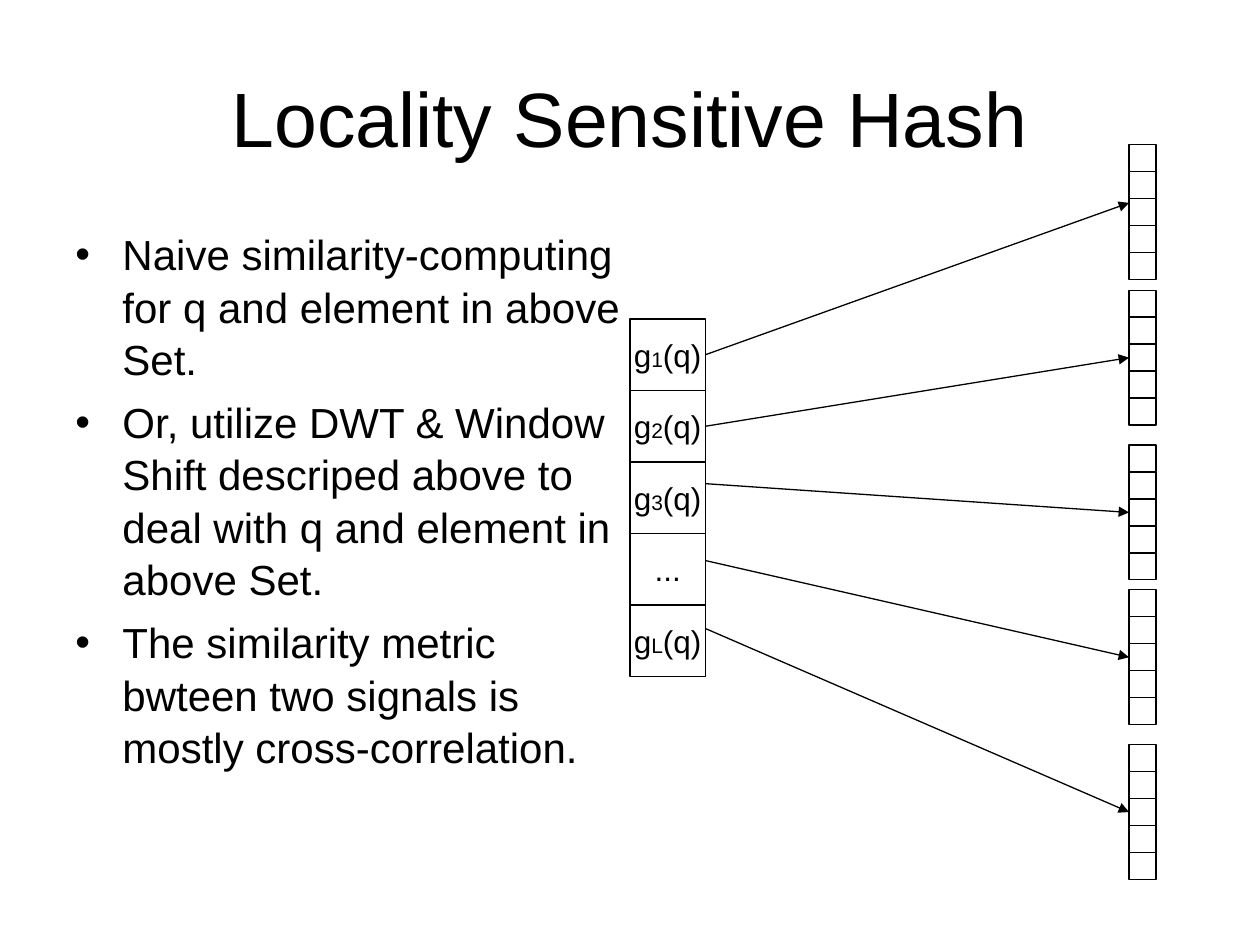
"""Build the Locality Sensitive Hash slide."""
from lxml import etree
from pptx import Presentation
from pptx import util as u
from pptx.dml import color
from pptx.enum import shapes, text
from pptx.oxml import ns

TITLE = "Locality Sensitive Hash"
POINTS = [
    "Naive similarity-computing for q and element in above Set.",
    "Or, utilize DWT & Window Shift descriped above to deal with q and element in above Set.",
    "The similarity metric bwteen two signals is mostly cross-correlation.",
]
HASHES = [("g", "1", "(q)"), ("g", "2", "(q)"), ("g", "3", "(q)"), ("...",), ("g", "L", "(q)")]
BUCKET_TOPS = [2.92, 5.85, 8.97, 11.89, 15.01]
ARROW_STARTS = [None, None, 9.75, 11.3, 12.67]
ARROW_ENDS = [4.09, None, None, None, None]
HASH_LEFT, HASH_TOP, HASH_WIDTH, HASH_HEIGHT = 12.7, 6.43, 1.52, 7.21 / 5
BUCKET_LEFT, BUCKET_CELLS, BUCKET_SIDE = 22.76, 5, 2.72 / 5
INK, PAPER = "000000", "FFFFFF"


def rgb(value):
    return color.RGBColor.from_string(value)


def add_element(parent, tag, **attributes):
    return etree.SubElement(parent, ns.qn(tag), attributes)


def write(frame, paragraphs, sizes=(18,), align="CENTER", anchor="MIDDLE",
          wrap=True, bullet=None, before=0, spacing=None):
    frame.word_wrap = wrap
    frame.vertical_anchor = text.MSO_ANCHOR[anchor]
    for i, parts in enumerate(paragraphs):
        paragraph = frame.add_paragraph() if i else frame.paragraphs[0]
        paragraph.alignment = text.PP_ALIGN[align]
        paragraph.line_spacing = spacing
        paragraph.space_before = u.Pt(before if i else 0)
        if bullet:
            props = paragraph._p.get_or_add_pPr()
            props.set("marL", str(u.Cm(0.95)))
            props.set("indent", str(-u.Cm(0.95)))
            add_element(props, "a:buFont", typeface="Arial")
            add_element(props, "a:buChar", char=bullet)
        for j, part in enumerate(parts):
            run = paragraph.add_run()
            run.text = part
            run.font.name = "Arial"
            run.font.size = u.Pt(sizes[j % len(sizes)])
            run.font.color.rgb = rgb(INK)


def add_cell(slide, left, top, width, height):
    cell = slide.shapes.add_shape(
        shapes.MSO_SHAPE.RECTANGLE, u.Cm(left), u.Cm(top), u.Cm(width), u.Cm(height))
    cell.shadow.inherit = False
    cell.fill.solid()
    cell.fill.fore_color.rgb = rgb(PAPER)
    cell.line.color.rgb = rgb(INK)
    cell.line.width = u.Pt(0.75)
    return cell


def add_arrow(slide, source, target, start, end):
    arrow = slide.shapes.add_connector(
        shapes.MSO_CONNECTOR.STRAIGHT, u.Cm(HASH_LEFT + HASH_WIDTH), u.Cm(start or 0),
        u.Cm(BUCKET_LEFT), u.Cm(end or 0))
    if start is None:
        arrow.begin_connect(source, 3)
    if end is None:
        arrow.end_connect(target, 1)
    arrow.line.color.rgb = rgb(INK)
    arrow.line.width = u.Pt(0.75)
    add_element(arrow.line._get_or_add_ln(), "a:tailEnd", type="triangle")
    add_element(arrow._element.spPr, "a:effectLst")


def main():
    deck = Presentation()
    deck.slide_width, deck.slide_height = u.Cm(25.4), u.Cm(19.05)
    slide = deck.slides.add_slide(deck.slide_layouts[6])

    title = slide.shapes.add_textbox(u.Cm(1.27), u.Cm(0.76), u.Cm(22.86), u.Cm(3.18))
    write(title.text_frame, [[TITLE]], sizes=(44,))
    body = slide.shapes.add_textbox(u.Cm(1.27), u.Cm(4.45), u.Cm(11.63), u.Cm(12.57))
    write(body.text_frame, [[point] for point in POINTS], sizes=(24,), align="LEFT",
          anchor="TOP", bullet="•", before=6, spacing=1.04)

    hash_cells = []
    for i, label in enumerate(HASHES):
        cell = add_cell(slide, HASH_LEFT, HASH_TOP + i * HASH_HEIGHT, HASH_WIDTH, HASH_HEIGHT)
        write(cell.text_frame, [label], sizes=(18, 12), wrap=False)
        hash_cells.append(cell)

    buckets = [[add_cell(slide, BUCKET_LEFT, top + i * BUCKET_SIDE, BUCKET_SIDE, BUCKET_SIDE)
                for i in range(BUCKET_CELLS)] for top in BUCKET_TOPS]
    for source, bucket, start, end in zip(hash_cells, buckets, ARROW_STARTS, ARROW_ENDS):
        add_arrow(slide, source, bucket[BUCKET_CELLS // 2], start, end)

    deck.save("out.pptx")


if __name__ == "__main__":
    main()
